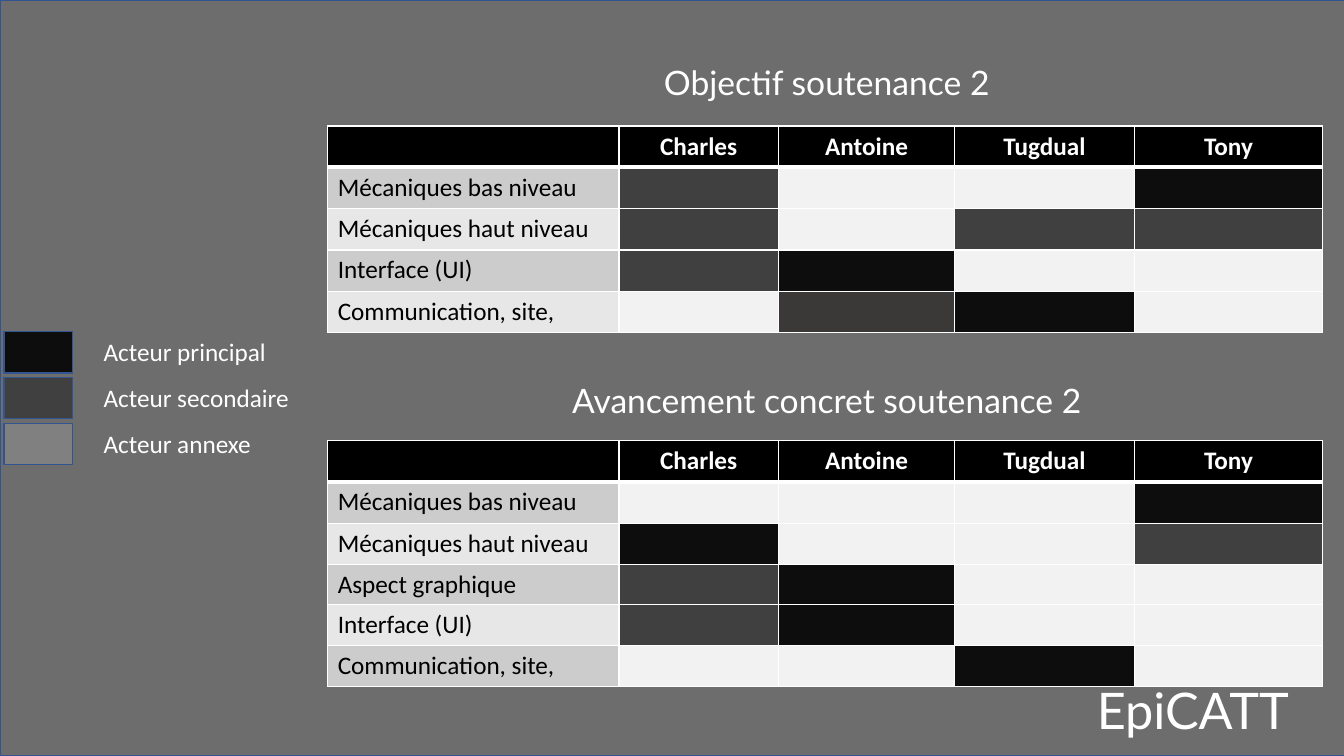
"""Build the slide comparing planned and actual roles for the second defence."""
from dataclasses import dataclass

import pptx
import pptx.dml.color
import pptx.enum.shapes
import pptx.enum.text
import pptx.oxml
import pptx.oxml.ns
import pptx.util
from pptx.util import Inches


@dataclass(frozen=True)
class Theme:
    white: str = "FFFFFF"
    black: str = "000000"
    main: str = "0D0D0D"
    second: str = "404040"
    second_warm: str = "3B3838"
    minor: str = "808080"
    unused: str = "F2F2F2"
    bands: tuple = ("CCCCCC", "E7E7E7")
    outline: str = "325491"
    title_font: str = "Lato"
    body_font: str = "Calibri"
    brand_size: int = 36
    title_size: int = 24
    body_size: int = 18


THEME = Theme()
ROLES = {"P": THEME.main, "S": THEME.second, "W": THEME.second_warm, "-": THEME.unused}
MEMBERS = ("Charles", "Antoine", "Tugdual", "Tony")
COLUMNS = (2.89, 1.58, 1.75, 1.78, 1.87)
GOALS = (
    ("Mécaniques bas niveau", "S--P"),
    ("Mécaniques haut niveau", "S-SS"),
    ("Interface (UI)", "SP--"),
    ("Communication, site,", "-WP-"),
)
PROGRESS = (
    ("Mécaniques bas niveau", "---P"),
    ("Mécaniques haut niveau", "P--S"),
    ("Aspect graphique", "SP--"),
    ("Interface (UI)", "SP--"),
    ("Communication, site,", "--P-"),
)
LEGEND = (
    ("Acteur principal", THEME.main),
    ("Acteur secondaire", THEME.second),
    ("Acteur annexe", THEME.minor),
)


def rgb(color):
    return pptx.dml.color.RGBColor.from_string(color)


def write(tf, text, size, font, color=THEME.white, bold=False, centered=False):
    tf.text = text
    p = tf.paragraphs[0]
    if centered:
        p.alignment = pptx.enum.text.PP_ALIGN.CENTER
    for r in p.runs:
        r.font.size = pptx.util.Pt(size)
        r.font.name = font
        r.font.bold = bold
        r.font.color.rgb = rgb(color)


def add_text(slide, box, text, size, font, centered=False):
    sp = slide.shapes.add_textbox(*map(Inches, box))
    sp.text_frame.word_wrap = True
    write(sp.text_frame, text, size, font, centered=centered)


def add_box(slide, box, color, alpha=None):
    sp = slide.shapes.add_shape(
        pptx.enum.shapes.MSO_SHAPE.RECTANGLE, *map(Inches, box))
    sp.shadow.inherit = False
    sp.fill.solid()
    sp.fill.fore_color.rgb = rgb(color)
    sp.line.color.rgb = rgb(THEME.outline)
    sp.line.width = pptx.util.Pt(1)
    if alpha is not None:
        srgb = sp.fill._xPr.find(".//" + pptx.oxml.ns.qn("a:srgbClr"))
        srgb.append(pptx.oxml.parse_xml(
            f'<a:alpha {pptx.oxml.ns.nsdecls("a")} val="{alpha * 1000}"/>'))


def style_cell(cell, color, top=1, bottom=1):
    tc_pr = cell._tc.get_or_add_tcPr()
    for side, width in (("L", 1), ("R", 1), ("T", top), ("B", bottom)):
        tc_pr.append(pptx.oxml.parse_xml(
            f'<a:ln{side} {pptx.oxml.ns.nsdecls("a")} w="{pptx.util.Pt(width)}">'
            f'<a:solidFill><a:srgbClr val="{THEME.white}"/></a:solidFill></a:ln{side}>'))
    cell.fill.solid()
    cell.fill.fore_color.rgb = rgb(color)


def add_role_table(slide, top, tasks, heights):
    shape = slide.shapes.add_table(
        len(tasks) + 1, len(COLUMNS), Inches(3.25), Inches(top),
        Inches(sum(COLUMNS)), Inches(sum(heights)))
    table = shape.table
    for column, width in zip(table.columns, COLUMNS):
        column.width = Inches(width)
    for row, height in zip(table.rows, heights):
        row.height = Inches(height)
    for col, name in enumerate(("", *MEMBERS)):
        cell = table.cell(0, col)
        style_cell(cell, THEME.black, bottom=3)
        write(cell.text_frame, name, THEME.body_size, THEME.body_font,
              bold=True, centered=True)
    for row, (task, roles) in enumerate(tasks, start=1):
        top_width = 3 if row == 1 else 1
        label = table.cell(row, 0)
        style_cell(label, THEME.bands[(row - 1) % 2], top=top_width)
        write(label.text_frame, task, THEME.body_size, THEME.body_font, THEME.black)
        for col, role in enumerate(roles, start=1):
            style_cell(table.cell(row, col), ROLES[role], top=top_width)


def add_legend(slide):
    for i, (label, color) in enumerate(LEGEND):
        top = 3.29 + i * 0.455
        add_box(slide, (0.04, top, 0.68, 0.41), color)
        add_text(slide, (0.93, top, 2.13, 0.4), label, THEME.body_size, THEME.body_font)


def main():
    prs = pptx.Presentation()
    prs.slide_width, prs.slide_height = Inches(13.33), Inches(7.5)
    slide = prs.slides.add_slide(prs.slide_layouts[6])
    add_box(slide, (0, 0, 13.43, 7.5), THEME.main, alpha=60)
    add_text(slide, (10.78, 6.69, 3.93, 0.71), "EpiCATT",
             THEME.brand_size, THEME.title_font)
    for top, title in ((0.57, "Objectif soutenance 2"),
                       (3.72, "Avancement concret soutenance 2")):
        add_text(slide, (3.83, top, 8.74, 0.5), title,
                 THEME.title_size, THEME.title_font, centered=True)
    add_role_table(slide, 1.25, GOALS, [0.41] * 5)
    add_role_table(slide, 4.37, PROGRESS, [0.41, 0.41, 0.41, 0.4, 0.4, 0.41])
    add_legend(slide)
    prs.save("out.pptx")


if __name__ == "__main__":
    main()
